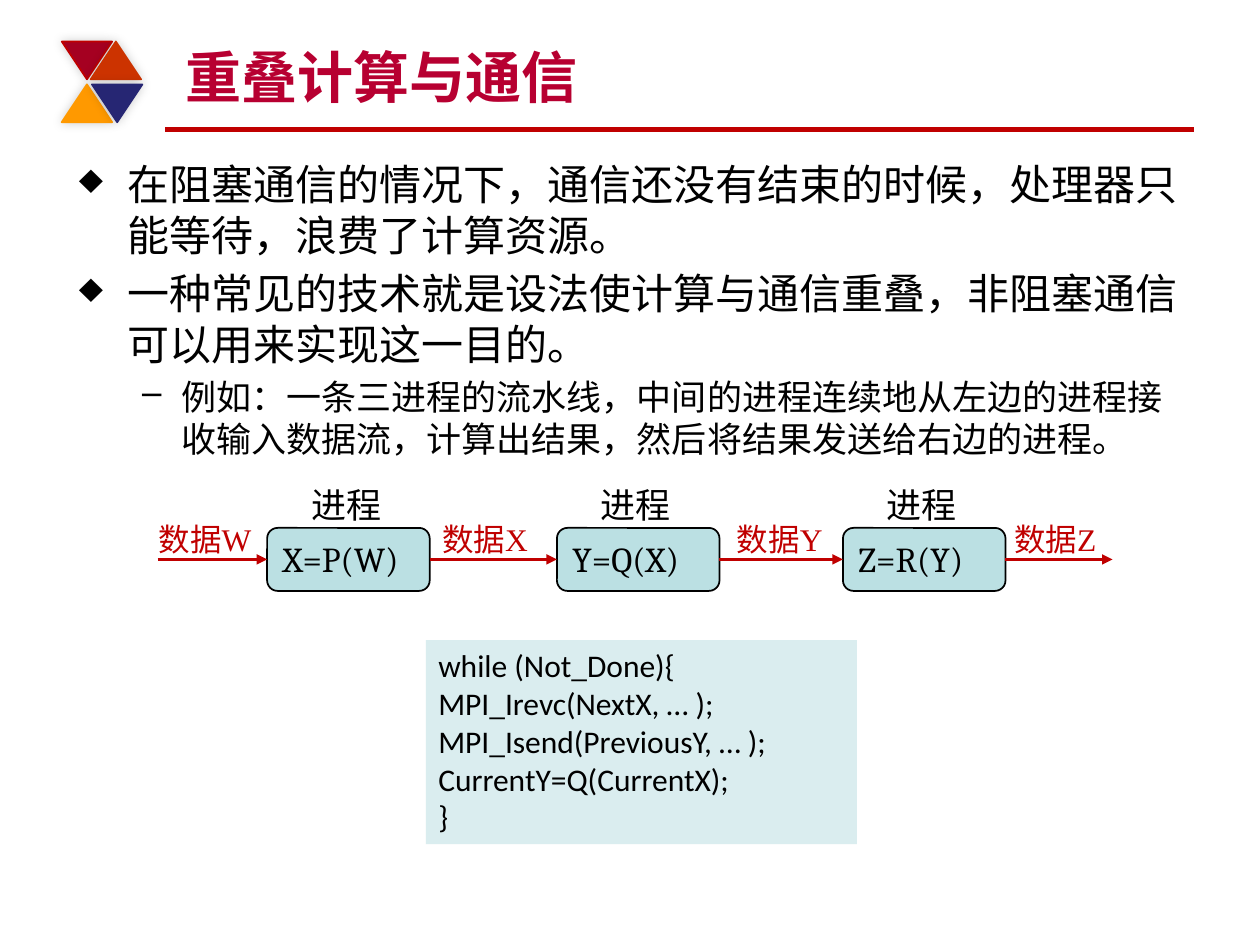
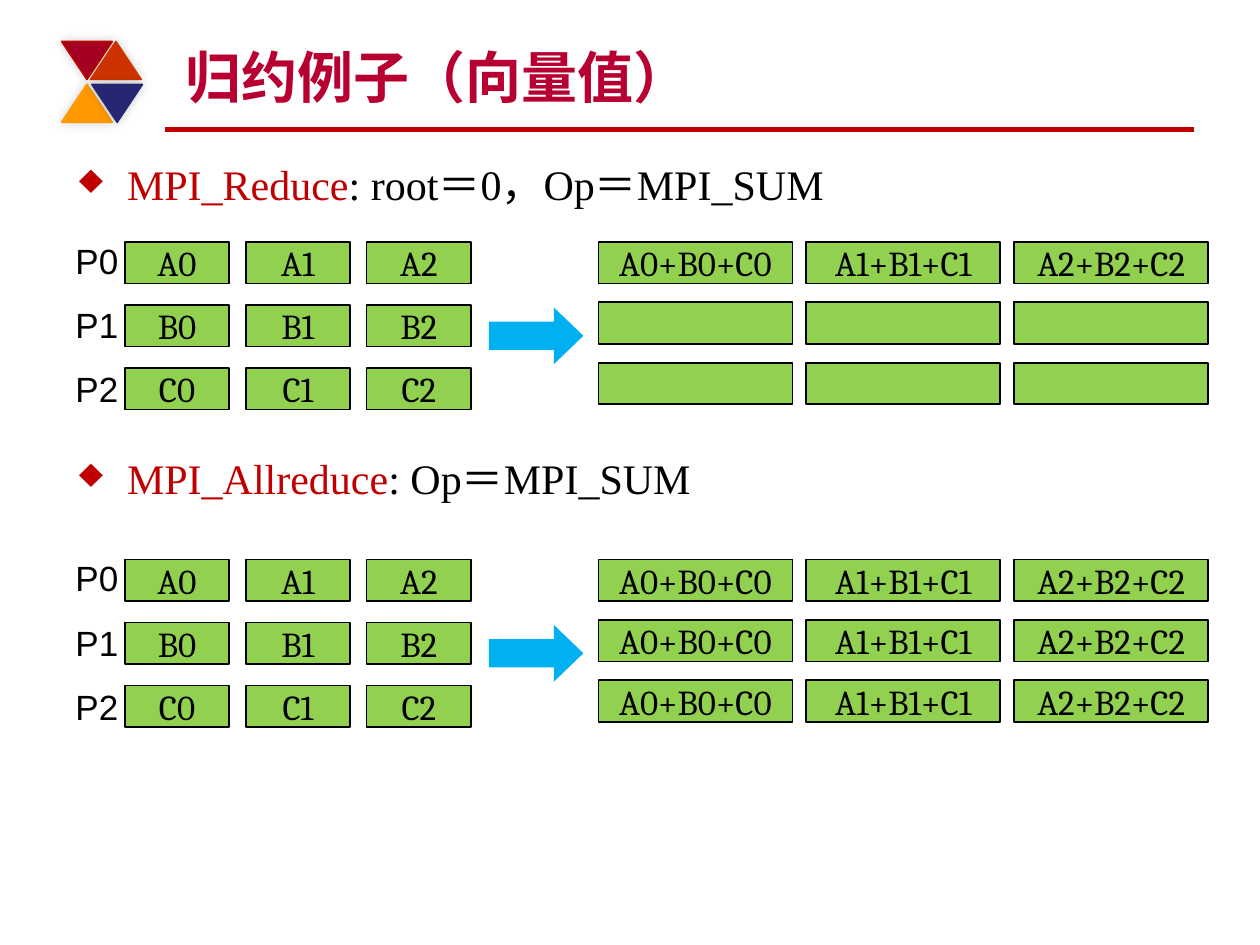
import dataclasses
import typing

import lxml.etree
import pptx
import pptx.dml.color
import pptx.enum.shapes
import pptx.enum.text
import pptx.oxml.ns
import pptx.util

Inches = pptx.util.Inches
RGBColor = pptx.dml.color.RGBColor
Shapes = pptx.enum.shapes.MSO_SHAPE
Anchor = pptx.enum.text.MSO_ANCHOR
Align = pptx.enum.text.PP_ALIGN
qn = pptx.oxml.ns.qn

BLACK = RGBColor(0x00, 0x00, 0x00)
RED = RGBColor(0xC0, 0x00, 0x00)
TITLE_RED = RGBColor(0xB7, 0x00, 0x31)
DARK_RED = RGBColor(0xA5, 0x00, 0x21)
ORANGE_RED = RGBColor(0xCC, 0x33, 0x00)
AMBER = RGBColor(0xFF, 0x99, 0x00)
NAVY = RGBColor(0x26, 0x26, 0x73)
STAGE_BLUE = RGBColor(0xBB, 0xE0, 0xE3)
CODE_BLUE = RGBColor(0xDA, 0xED, 0xEF)
CELL_GREEN = RGBColor(0x92, 0xD0, 0x50)
ARROW_BLUE = RGBColor(0x00, 0xB0, 0xF0)

SANS = "Arial"
SERIF = "Times New Roman"
CAMBRIA = "Cambria"
CALIBRI = "Calibri"


@dataclasses.dataclass(frozen=True)
class Triangle:
    left: float
    top: float
    rotation: int
    fill: RGBColor
    line: RGBColor


@dataclasses.dataclass(frozen=True)
class Bullet:
    spans: tuple[tuple[str, RGBColor], ...]
    font: str = SANS
    size: int = 24
    mark: str = "♦"
    margin: float = 0.38
    hang: float = 0.38


@dataclasses.dataclass(frozen=True)
class Stage:
    left: float
    formula: str


@dataclasses.dataclass(frozen=True)
class Flow:
    start: float
    end: float
    label_left: float
    label: str


@dataclasses.dataclass(frozen=True)
class Reduction:
    top: float
    results: tuple[tuple[str, ...], ...]


TRIANGLES = (
    Triangle(0.49, 0.33, 180, DARK_RED, RED),
    Triangle(0.72, 0.33, 0, ORANGE_RED, ORANGE_RED),
    Triangle(0.49, 0.67, 0, AMBER, AMBER),
    Triangle(0.73, 0.67, 180, NAVY, NAVY),
)
STAGES = (Stage(2.12, "X=P(W)"), Stage(4.42, "Y=Q(X)"), Stage(6.69, "Z=R(Y)"))
FLOWS = (
    Flow(1.25, 2.12, 1.16, "数据W"),
    Flow(3.41, 4.42, 3.41, "数据X"),
    Flow(5.71, 6.69, 5.75, "数据Y"),
    Flow(7.98, 8.83, 7.95, "数据Z"),
)
CODE = """while (Not_Done){
MPI_Irevc(NextX, … );
MPI_Isend(PreviousY, … );
CurrentY=Q(CurrentX);
}"""
INPUTS = tuple(tuple(f"{name}{column}" for column in range(3)) for name in "ABC")
SUMS = tuple(f"A{column}+B{column}+C{column}" for column in range(3))
EMPTY = ("",) * 3
REDUCTIONS = (Reduction(1.92, (SUMS, EMPTY, EMPTY)), Reduction(4.44, (SUMS,) * 3))


def style_runs(para: typing.Any, font: str, size: int, color: RGBColor) -> None:
    for span in para.runs:
        span.font.name = font
        span.font.size = pptx.util.Pt(size)
        span.font.color.rgb = color


def write(box: typing.Any, text: str, font: str, size: int,
          color: RGBColor = BLACK, align: Align = Align.LEFT, anchor: Anchor = Anchor.TOP) -> None:
    frame = box.text_frame
    frame.text = text
    frame.word_wrap = True
    frame.vertical_anchor = anchor
    for para in frame.paragraphs:
        para.alignment = align
        style_runs(para, font, size, color)


def add_label(page: typing.Any, left: float, top: float, width: float, text: str,
              font: str, size: int, color: RGBColor = BLACK) -> None:
    box = page.shapes.add_textbox(Inches(left), Inches(top), Inches(width), Inches(0.44))
    write(box, text, font, size, color)
    box.text_frame.margin_right = Inches(0)


def add_block(page: typing.Any, kind: Shapes, left: float, top: float, width: float, height: float,
              fill: RGBColor, line: RGBColor | None = None) -> typing.Any:
    block = page.shapes.add_shape(kind, Inches(left), Inches(top), Inches(width), Inches(height))
    block.shadow.inherit = False
    block.fill.solid()
    block.fill.fore_color.rgb = fill
    if line is None:
        block.line.fill.background()
    else:
        block.line.color.rgb = line
        block.line.width = pptx.util.Pt(1)
    return block


def add_line(page: typing.Any, start: float, end: float, y: float, width: float,
             arrow: bool = False) -> None:
    line = page.shapes.add_connector(pptx.enum.shapes.MSO_CONNECTOR.STRAIGHT,
                                     Inches(start), Inches(y), Inches(end), Inches(y))
    line.line.color.rgb = RED
    line.line.width = pptx.util.Pt(width)
    properties = line._element.spPr
    if arrow:
        lxml.etree.SubElement(properties.find(qn("a:ln")), qn("a:tailEnd"), type="triangle")
    lxml.etree.SubElement(properties, qn("a:effectLst"))


def add_triangle(page: typing.Any, triangle: Triangle) -> None:
    block = add_block(page, Shapes.ISOSCELES_TRIANGLE, triangle.left, triangle.top, 0.4, 0.3,
                      triangle.fill, triangle.line)
    block.rotation = triangle.rotation
    effects = block._element.spPr.find(qn("a:effectLst"))
    shadow = lxml.etree.SubElement(effects, qn("a:outerShdw"), blurRad=str(pptx.util.Pt(6)), dist="0")
    color = lxml.etree.SubElement(shadow, qn("a:srgbClr"), val=str(BLACK))
    lxml.etree.SubElement(color, qn("a:alpha"), val="20000")


def add_page(deck: typing.Any, title: str) -> typing.Any:
    page = deck.slides.add_slide(deck.slide_layouts.get_by_name("Title Only"))
    add_line(page, 1.31, 9.48, 1.03, 3)
    for triangle in TRIANGLES:
        add_triangle(page, triangle)
    box = page.shapes.title
    box.left, box.top, box.width, box.height = Inches(1.37), Inches(0.25), Inches(8), Inches(0.67)
    write(box, title, SANS, 32, TITLE_RED, anchor=Anchor.BOTTOM)
    box.text_frame.auto_size = pptx.enum.text.MSO_AUTO_SIZE.NONE
    box.text_frame.paragraphs[0].runs[0].font.bold = True
    return page


def add_bullets(page: typing.Any, top: float, height: float, bullets: tuple[Bullet, ...]) -> None:
    box = page.shapes.add_textbox(Inches(0.53), Inches(top), Inches(8.95), Inches(height))
    frame = box.text_frame
    frame.word_wrap = True
    for index, bullet in enumerate(bullets):
        para = frame.add_paragraph() if index else frame.paragraphs[0]
        if index:
            para.space_before = pptx.util.Pt(bullet.size * 0.2)
        properties = para._p.get_or_add_pPr()
        properties.set("marL", str(Inches(bullet.margin)))
        properties.set("indent", str(-Inches(bullet.hang)))
        lxml.etree.SubElement(properties, qn("a:buChar"), char=bullet.mark)
        for text, color in bullet.spans:
            span = para.add_run()
            span.text = text
            span.font.name = bullet.font
            span.font.size = pptx.util.Pt(bullet.size)
            span.font.color.rgb = color


def add_cells(page: typing.Any, left: float, top: float, column_step: float, row_step: float,
              width: float, rows: tuple[tuple[str, ...], ...]) -> None:
    for row, texts in enumerate(rows):
        for column, text in enumerate(texts):
            cell = add_block(page, Shapes.RECTANGLE, left + column * column_step,
                             top + row * row_step, width, 0.33, CELL_GREEN, BLACK)
            if text:
                write(cell, text, CAMBRIA, 20, align=Align.CENTER, anchor=Anchor.MIDDLE)


def add_reduction(page: typing.Any, reduction: Reduction) -> None:
    top = reduction.top
    add_cells(page, 0.99, top, 0.96, 0.5, 0.83, INPUTS)
    for row in range(3):
        add_label(page, 0.5, top - 0.07 + row * 0.51, 0.55, f"P{row}", SANS, 20)
    add_cells(page, 4.75, top, 1.65, 0.48, 1.54, reduction.results)
    arrow = add_block(page, Shapes.RIGHT_ARROW, 3.88, top + 0.52, 0.75, 0.45, ARROW_BLUE)
    arrow.adjustments[1] = 0.52


def build_overlap_page(deck: typing.Any) -> None:
    page = add_page(deck, "重叠计算与通信")
    add_bullets(page, 1.21, 2.5, (
        Bullet((("在阻塞通信的情况下，通信还没有结束的时候，处理器只能等待，浪费了计算资源。", BLACK),)),
        Bullet((("一种常见的技术就是设法使计算与通信重叠，非阻塞通信可以用来实现这一目的。", BLACK),)),
        Bullet((("例如：一条三进程的流水线，中间的进程连续地从左边的进程接收输入数据流，"
                 "计算出结果，然后将结果发送给右边的进程。", BLACK),),
               size=20, mark="–", margin=0.81, hang=0.31),
    ))
    code = add_block(page, Shapes.RECTANGLE, 3.38, 5.08, 3.42, 1.62, CODE_BLUE)
    write(code, CODE, CALIBRI, 18)
    for stage in STAGES:
        block = add_block(page, Shapes.ROUNDED_RECTANGLE, stage.left, 4.19, 1.29, 0.5,
                          STAGE_BLUE, BLACK)
        write(block, stage.formula, CAMBRIA, 20)
        add_label(page, stage.left + 0.25, 3.79, 1.02, "进程", SANS, 20)
    for flow in FLOWS:
        add_line(page, flow.start, flow.end, 4.44, 1.5, arrow=True)
        add_label(page, flow.label_left, 4.08, 1.02, flow.label, SERIF, 18, RED)


def build_reduction_page(deck: typing.Any) -> None:
    page = add_page(deck, "归约例子（向量值）")
    add_bullets(page, 1.21, 0.5, (
        Bullet((("MPI_Reduce", RED), (": root＝0，Op＝MPI_SUM", BLACK)), SERIF),))
    add_bullets(page, 3.54, 0.5, (
        Bullet((("MPI_Allreduce", RED), (": Op＝MPI_SUM", BLACK)), SERIF),))
    for reduction in REDUCTIONS:
        add_reduction(page, reduction)


def main() -> None:
    deck = pptx.Presentation()
    deck.slide_width, deck.slide_height = Inches(10), Inches(7.5)
    build_overlap_page(deck)
    build_reduction_page(deck)
    deck.save("out.pptx")


if __name__ == "__main__":
    main()
